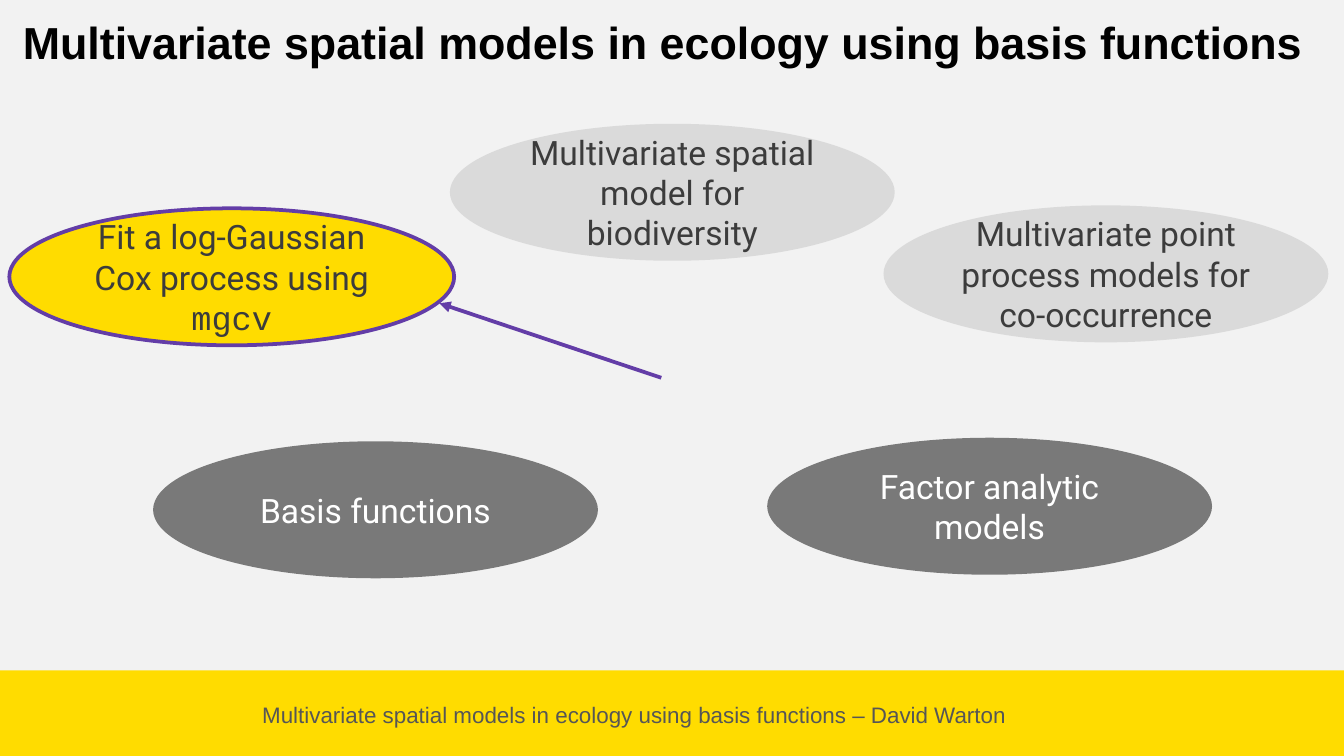
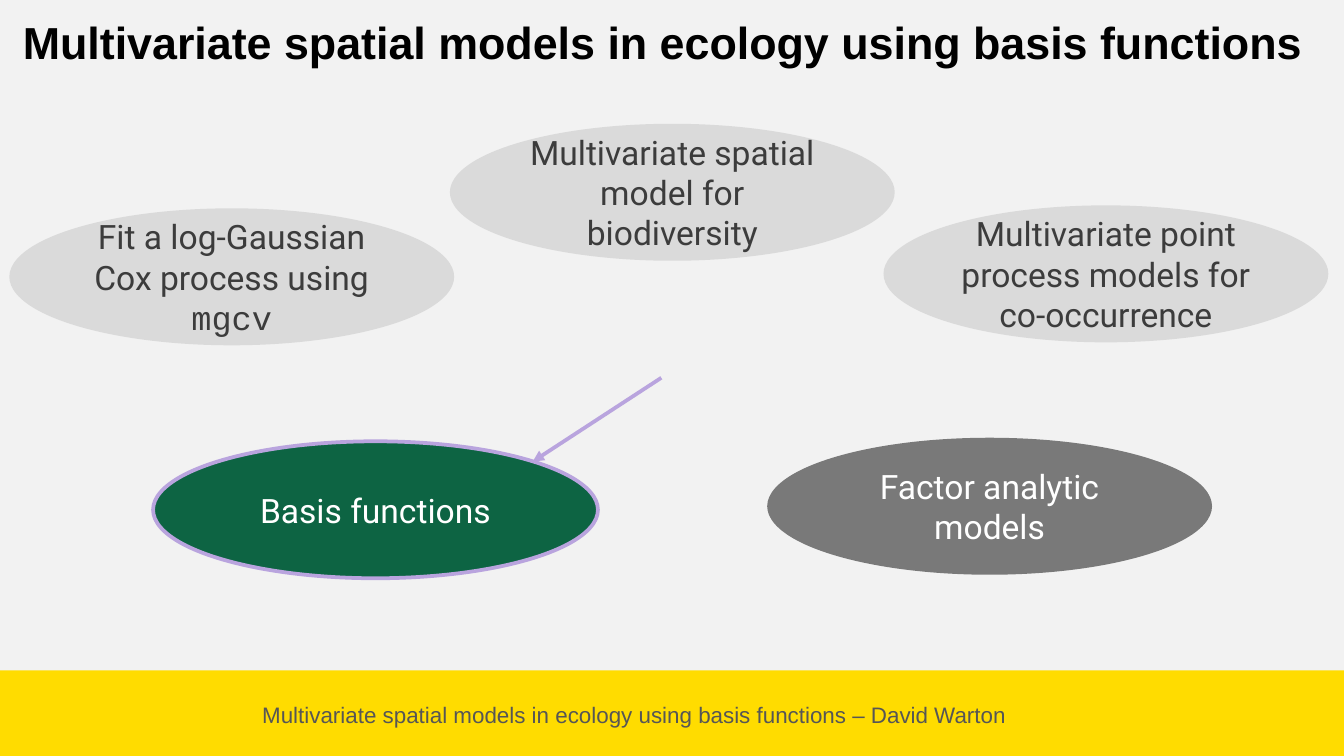
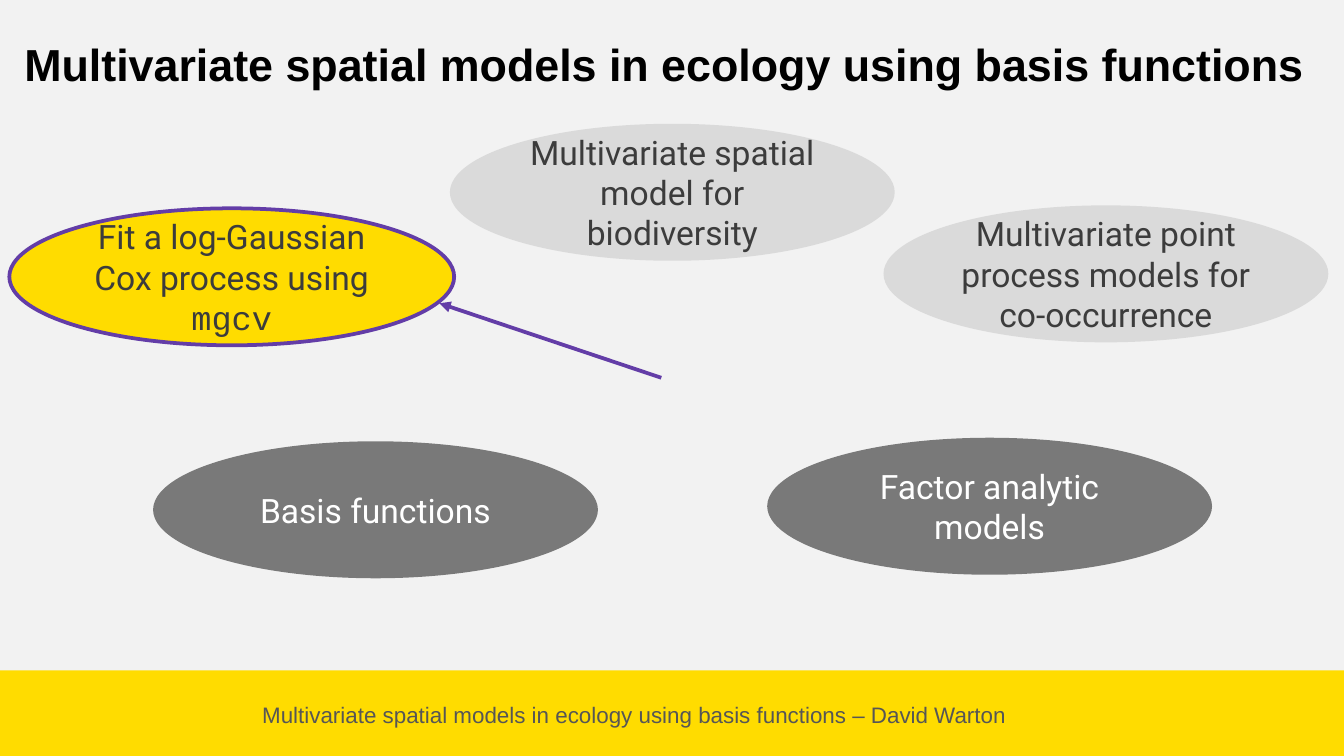
from lxml import etree
from pptx import Presentation
from pptx.dml.color import RGBColor
from pptx.enum.shapes import MSO_CONNECTOR, MSO_SHAPE
from pptx.enum.text import MSO_ANCHOR as ANCHOR, MSO_AUTO_SIZE as AUTO, PP_ALIGN as ALIGN
from pptx.oxml.ns import qn
from pptx.util import Pt

PAPER, YELLOW, GREEN = "F2F2F2", "FFDC00", "0D6443"
PALE, GREY, INK, WHITE = "DADADA", "797979", "3C3C3C", "FFFFFF"
PURPLE, LILAC = "633DA7", "B9A4DE"

TALK = "Multivariate spatial models in ecology using basis functions"
SLIDE_W, SLIDE_H = 720, 405
BAND_TOP = 359.2
TOPIC_W, TOPIC_H = 238.3, 73.4
HUB = (354.3, 202.4)  # where every arrow starts

# key: (left, top, fill, text colour, runs as (text, font))
TOPICS = {
    "cox": (5, 111.6, PALE, INK, [("Fit a log-Gaussian Cox process using ", "Roboto"),
                                  ("mgcv", "Courier New")]),
    "spatial": (241, 66.3, PALE, INK,
                [("Multivariate spatial model for biodiversity", "Roboto")]),
    "point": (473.3, 110, PALE, INK,
              [("Multivariate point process models for co-occurrence", "Roboto")]),
    "basis": (82, 236.4, GREY, WHITE, [("Basis functions", "Roboto")]),
    "factor": (411, 234.5, GREY, WHITE, [("Factor analytic models", "Roboto")]),
}

# key: (fill, accent, arrow tip as an offset from the topic's box)
HIGHLIGHTS = {
    "cox": (YELLOW, PURPLE, (230.4, 50.9)),
    "basis": (GREEN, LILAC, (203.4, 10.9)),
}

# (title left, title top, highlighted topic)
SLIDES = [(5, 4.3, "cox"), (5, 4.3, "basis"), (5.8, 15.8, "cox")]


def rgb(color):
    return RGBColor.from_string(color)


def add_run(p, text, font, size, color, bold=False):
    r = p.add_run()
    r.text = text
    r.font.name, r.font.size, r.font.bold = font, Pt(size), bold
    r.font.color.rgb = rgb(color)


def add_filled(s, kind, box, fill):
    sp = s.shapes.add_shape(kind, *map(Pt, box))
    sp.shadow.inherit = False
    sp.fill.solid()
    sp.fill.fore_color.rgb = rgb(fill)
    sp.line.fill.background()
    return sp


def set_line(line, color):
    line.color.rgb = rgb(color)
    line.width = Pt(2)


def add_footer(s, left, top, width, height):
    add_filled(s, MSO_SHAPE.RECTANGLE, (left, top, width, height), YELLOW)
    tf = s.shapes.add_textbox(Pt(left + 133), Pt(top + 13), Pt(414), Pt(21.8)).text_frame
    tf.word_wrap = True
    p = tf.paragraphs[0]
    p.alignment = ALIGN.CENTER
    add_run(p, f"{TALK} – David Warton", "Arial", 12, "565656")


def set_title(s, left, top):
    title = s.shapes.title
    title.left, title.top, title.width, title.height = map(Pt, (left, top, 706.3, 36.3))
    tf = title.text_frame
    tf.word_wrap, tf.auto_size = False, AUTO.SHAPE_TO_FIT_TEXT
    tf.vertical_anchor = ANCHOR.TOP
    p = tf.paragraphs[0]
    p.alignment = ALIGN.LEFT
    add_run(p, TALK, "Arial", 24, "000000", bold=True)


def add_topic(s, left, top, fill, color, runs):
    sp = add_filled(s, MSO_SHAPE.OVAL, (left, top, TOPIC_W, TOPIC_H), fill)
    tf = sp.text_frame
    tf.margin_left = tf.margin_top = tf.margin_right = tf.margin_bottom = 0
    tf.word_wrap, tf.vertical_anchor = True, ANCHOR.MIDDLE
    p = tf.paragraphs[0]
    p.alignment = ALIGN.CENTER
    for text, font in runs:
        add_run(p, text, font, 18, color)
    return sp


def add_arrow(s, start, end, color):
    cx = s.shapes.add_connector(MSO_CONNECTOR.STRAIGHT, *map(Pt, start + end))
    set_line(cx.line, color)
    etree.SubElement(cx.line._get_or_add_ln(), qn("a:tailEnd"), type="triangle")
    etree.SubElement(cx._element.spPr, qn("a:effectLst"))


def add_topic_map(s, current):
    """Place all topics, highlight the current one and point to it from the hub."""
    for key, (left, top, fill, color, runs) in TOPICS.items():
        sp = add_topic(s, left, top, fill, color, runs)
        if key == current:
            fill, accent, (dx, dy) = HIGHLIGHTS[key]
            sp.fill.fore_color.rgb = rgb(fill)
            set_line(sp.line, accent)
            tip = (left + dx, top + dy)
    add_arrow(s, HUB, tip, accent)


def main():
    prs = Presentation()
    prs.slide_width, prs.slide_height = Pt(SLIDE_W), Pt(SLIDE_H)
    background = prs.slide_master.background.fill
    background.solid()
    background.fore_color.rgb = rgb(PAPER)
    for left, top, current in SLIDES:
        s = prs.slides.add_slide(prs.slide_layouts[5])
        add_footer(s, 0, BAND_TOP, SLIDE_W, SLIDE_H - BAND_TOP)
        set_title(s, left, top)
        add_topic_map(s, current)
    prs.save("out.pptx")


if __name__ == "__main__":
    main()
